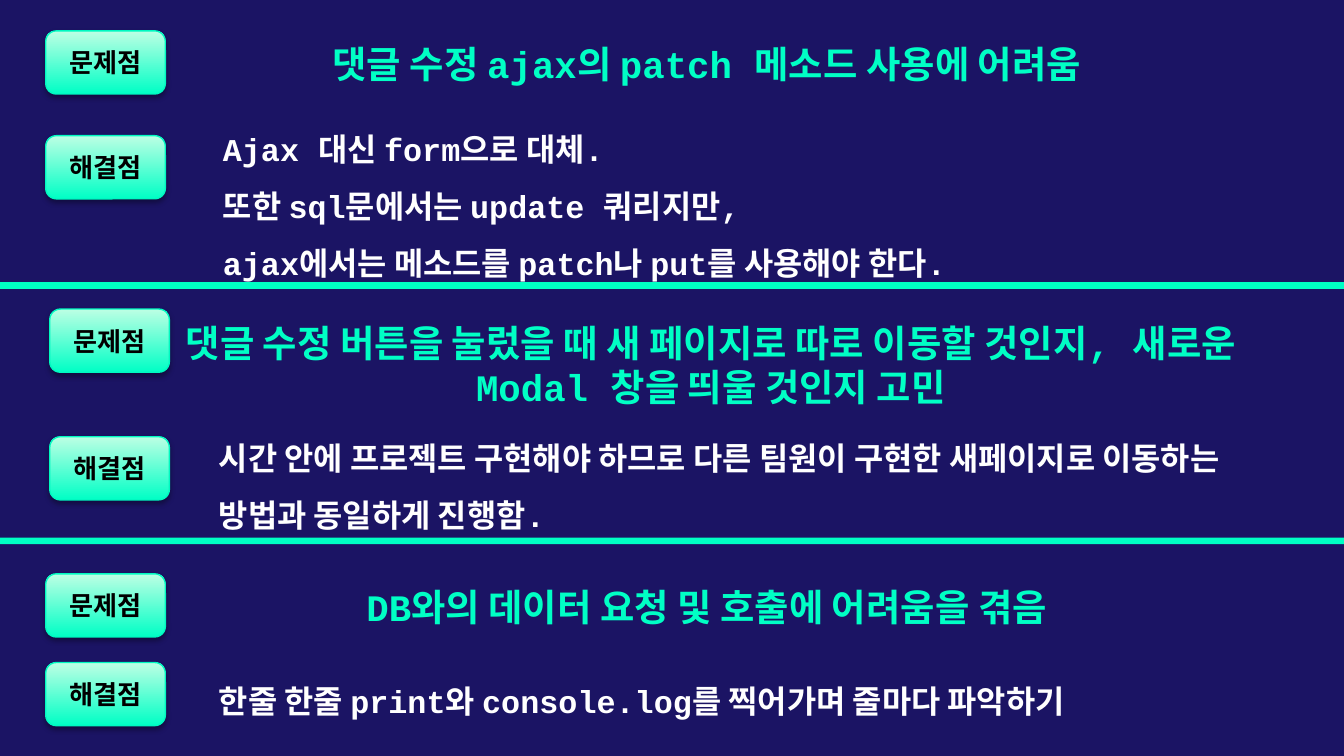
from lxml import etree
from pptx import Presentation
from pptx import util as u
from pptx.dml import color
from pptx.enum import shapes, text
from pptx.oxml import ns

PX = 4572
MINT = "00FFC5"
WIDE, HIGH = 2000, 1125

PARTS = [
    {"box": (68, 46), "fix": 156, "note": (244, 98, 304),
     "head": "댓글 수정 ajax의 patch 메소드 사용에 어려움",
     "lines": ["Ajax 대신 form으로 대체.",
               "또한 sql문에서는 update 쿼리지만,",
               "ajax에서는 메소드를 patch나 put를 사용해야 한다."]},
    {"box": (74, 460), "fix": 190, "note": (232, 144, 226),
     "head": "댓글 수정 버튼을 눌렀을 때 새 페이지로 따로 이동할 것인지, "
             "새로운 Modal 창을 띄울 것인지 고민",
     "lines": ["시간 안에 프로젝트 구현해야 하므로 다른 팀원이 구현한 "
               "새페이지로 이동하는 방법과 동일하게 진행함."]},
    {"box": (68, 854), "fix": 132, "note": (238, 112, 304),
     "head": "DB와의 데이터 요청 및 호출에 어려움을 겪음",
     "lines": ["한줄 한줄 print와 console.log를 찍어가며 줄마다 파악하기"]},
]


def rgb(code):
    """Turn a hex string into a colour."""
    return color.RGBColor.from_string(code)


def place(*box):
    """Turn px lengths into EMU."""
    return [u.Emu(n * PX) for n in box]


def style(para, face, size, ink, align):
    """Set the font and alignment of one paragraph."""
    para.alignment = align
    font = para.font
    font.name, font.size, font.bold = face, u.Pt(size), True
    font.color.rgb = rgb(ink)


def write(slide, box, lines, size, ink, align, space=None):
    """Add a wrapped text box with one paragraph per line."""
    frame = slide.shapes.add_textbox(*place(*box)).text_frame
    frame.word_wrap = True
    frame.margin_left = frame.margin_right = u.Inches(0.1)
    frame.margin_top = frame.margin_bottom = u.Inches(0.1)
    frame.text = "\n".join(lines)
    for para in frame.paragraphs:
        style(para, "Courier New", size, ink, align)
        para.line_spacing = space


def shade(shape):
    """Give a shape a soft shadow below it."""
    shape.shadow.inherit = False
    effect = shape._element.spPr.find(ns.qn("a:effectLst"))
    outer = etree.SubElement(effect, ns.qn("a:outerShdw"), blurRad=str(u.Pt(3.1)),
                             dist=str(u.Pt(1.8)), dir="5400000", rotWithShape="0")
    tint = etree.SubElement(outer, ns.qn("a:srgbClr"), val="000000")
    etree.SubElement(tint, ns.qn("a:alpha"), val="35000")


def badge(slide, x, y, label):
    """Add a rounded label with a mint gradient."""
    shape = slide.shapes.add_shape(
        shapes.MSO_SHAPE.ROUNDED_RECTANGLE, *place(x, y, 178, 94))
    shape.fill.gradient()
    shape.fill.gradient_angle = 90
    for stop, code in zip(shape.fill.gradient_stops, (MINT, "BDFFE4")):
        stop.color.rgb = rgb(code)
    shape.line.color.rgb = rgb("00F9C1")
    shape.line.width = u.Pt(0.75)
    shade(shape)
    frame = shape.text_frame
    frame.text = label
    frame.vertical_anchor = text.MSO_ANCHOR.MIDDLE
    style(frame.paragraphs[0], "Arial", 14, "000000", text.PP_ALIGN.CENTER)


def section(slide, box, fix, note, head, lines):
    """Add one problem and its solution, measured from the first badge."""
    x, y = box
    dx, dy, tall = note
    write(slide, (x + 150, y - 4, 1668, 146), [head], 20, MINT,
          text.PP_ALIGN.CENTER)
    write(slide, (x + dx, y + dy, 1620, tall), lines, 17, "FFFFFF",
          text.PP_ALIGN.LEFT, 1.5)
    badge(slide, x, y, "문제점")
    badge(slide, x, y + fix, "해결점")


def rule(slide, y):
    """Add a full-width bar between sections."""
    bar = slide.shapes.add_shape(shapes.MSO_SHAPE.RECTANGLE, *place(0, y, WIDE, 10))
    bar.shadow.inherit = False
    bar.fill.solid()
    bar.fill.fore_color.rgb = rgb(MINT)
    bar.line.fill.background()


def main():
    """Build and save the slide."""
    deck = Presentation()
    deck.slide_width, deck.slide_height = place(WIDE, HIGH)
    slide = deck.slides.add_slide(deck.slide_layouts[6])
    slide.background.fill.solid()
    slide.background.fill.fore_color.rgb = rgb("1B1464")
    for part in PARTS:
        section(slide, **part)
    for y in (420, 800):
        rule(slide, y)
    deck.save("out.pptx")


if __name__ == "__main__":
    main()
